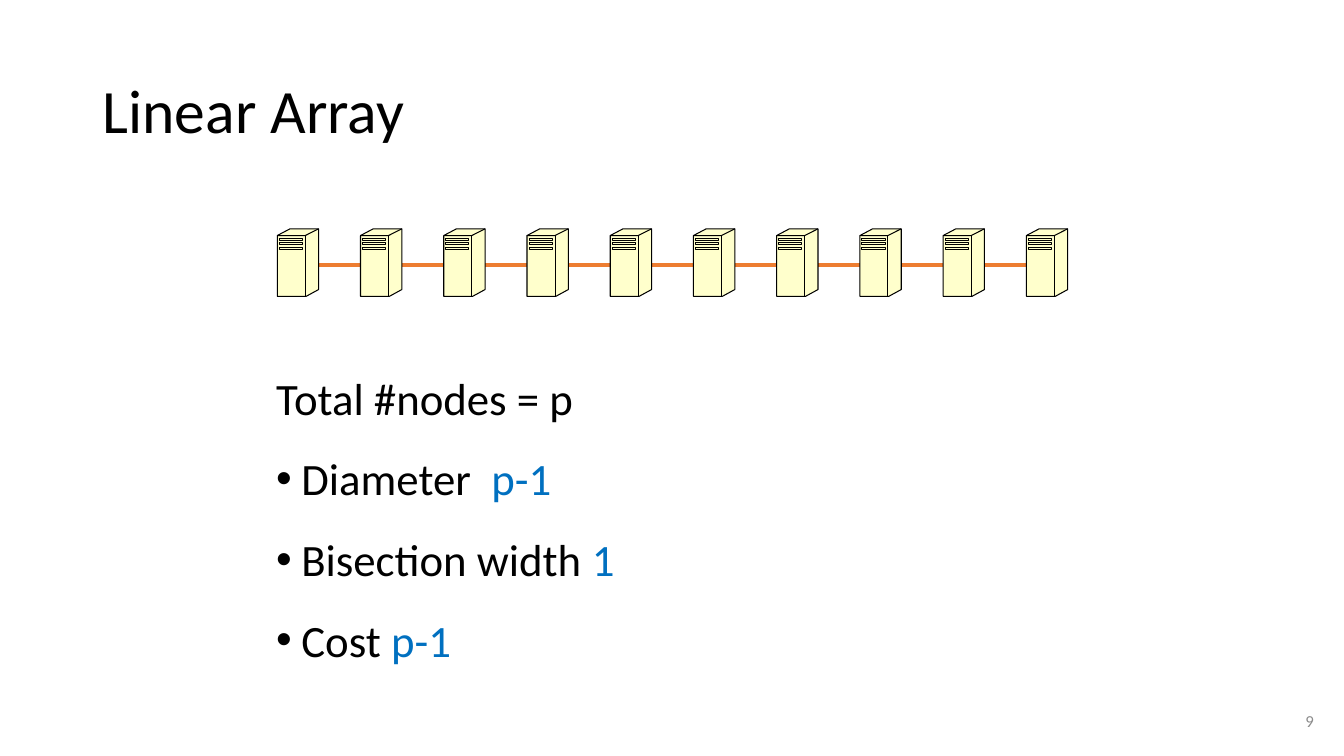
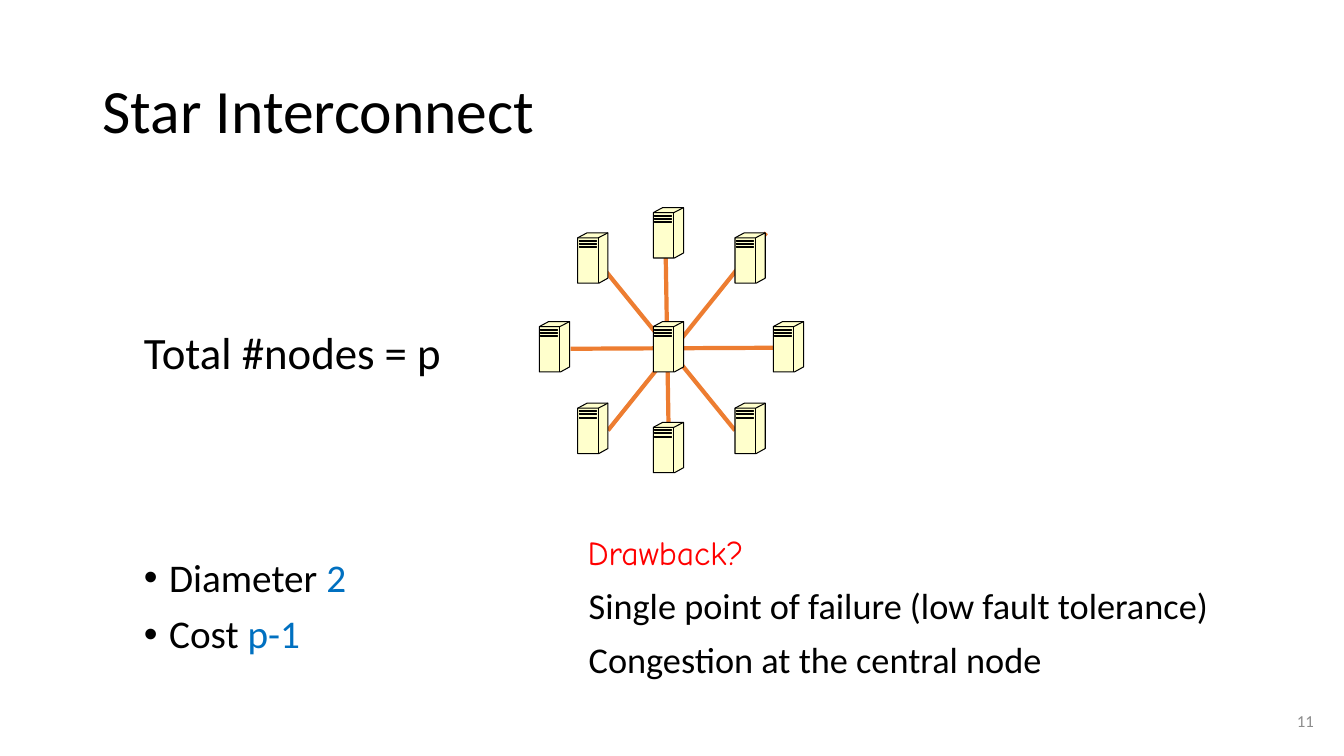
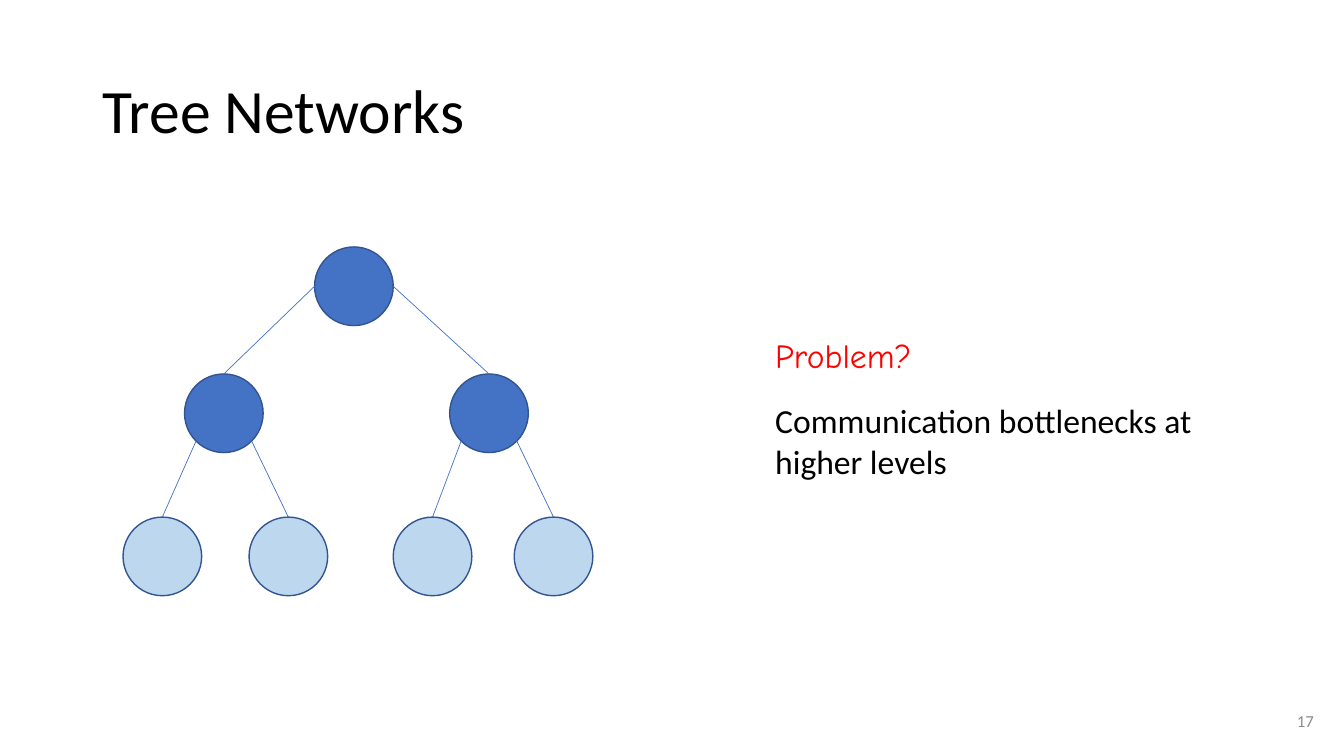
from math import cos, radians, sin

from lxml.etree import SubElement
from pptx import Presentation
from pptx.dml.color import RGBColor
from pptx.enum.shapes import MSO_CONNECTOR, MSO_SHAPE
from pptx.enum.text import MSO_ANCHOR, PP_ALIGN
from pptx.oxml.ns import qn
from pptx.util import Inches, Pt

BLACK = RGBColor(0x00, 0x00, 0x00)
GREY = RGBColor(0x8C, 0x8C, 0x8C)
RED = RGBColor(0xFF, 0x00, 0x00)
VALUE_BLUE = RGBColor(0x00, 0x70, 0xC0)
ORANGE = RGBColor(0xED, 0x7D, 0x31)
CREAM = RGBColor(0xFF, 0xFF, 0xCC)
NODE_BLUE = RGBColor(0x44, 0x72, 0xC4)
LEAF_BLUE = RGBColor(0xBD, 0xD7, 0xEE)
NODE_EDGE = RGBColor(0x32, 0x54, 0x91)
BODY_FONT = "Calibri"
QUESTION_FONT = "Comic Neue"

# Server icon, in fractions of its box
CASE = [(0, 0.1), (0.31, 0), (1, 0), (1, 0.9), (0.7, 1), (0, 1)]
EDGES = [[(0, 0.1), (0.68, 0.1), (1, 0)], [(0.68, 0.1), (0.68, 1)]]
SLOTS = [[(0.05, y), (0.61, y), (0.61, y + 0.02), (0.05, y + 0.02), (0.05, y)]
         for y in (0.15, 0.21, 0.28)]


def plain(text, color=BLACK):
    """A paragraph without a bullet."""
    return False, [(text, color)]


def fact(label, value):
    """A bulleted paragraph that ends in a blue value."""
    return True, [(label, BLACK), (value, VALUE_BLUE)]


def add_bullet(p):
    pPr = p._p.get_or_add_pPr()
    pPr.set("marL", str(Inches(0.25)))
    pPr.set("indent", str(-Inches(0.25)))
    SubElement(pPr, qn("a:buFont")).set("typeface", "Arial")
    SubElement(pPr, qn("a:buChar")).set("char", "•")


def add_text(s, box, paragraphs, size, font=BODY_FONT, spacing=1.0, before=0,
             anchor=MSO_ANCHOR.TOP, align=PP_ALIGN.LEFT):
    tf = s.shapes.add_textbox(*map(Inches, box)).text_frame
    tf.word_wrap = True
    tf.vertical_anchor = anchor
    for i, (bulleted, runs) in enumerate(paragraphs):
        p = tf.add_paragraph() if i else tf.paragraphs[0]
        p.alignment = align
        p.line_spacing = spacing
        p.space_before = Pt(before)
        if bulleted:
            add_bullet(p)
        for text, color in runs:
            r = p.add_run()
            r.text = text
            r.font.size = Pt(size)
            r.font.name = font
            r.font.color.rgb = color


def add_question(s, box, text):
    add_text(s, box, [plain(text, RED)], 24, QUESTION_FONT)


def new_slide(prs, title, number):
    s = prs.slides.add_slide(prs.slide_layouts[6])
    add_text(s, (0.92, 0.4, 11.5, 1.45), [plain(title)], 44, spacing=0.9,
             anchor=MSO_ANCHOR.MIDDLE)
    add_text(s, (9.42, 6.95, 3.71, 0.4), [plain(str(number), GREY)], 12,
             anchor=MSO_ANCHOR.MIDDLE, align=PP_ALIGN.RIGHT)
    return s


def add_line(s, x1, y1, x2, y2, color, width):
    line = s.shapes.add_connector(MSO_CONNECTOR.STRAIGHT,
                                  *map(Inches, (x1, y1, x2, y2)))
    line.line.color.rgb = color
    line.line.width = Pt(width)
    SubElement(line._element.spPr, qn("a:effectLst"))
    return line


def add_outline(shapes, box, strokes, close):
    """Draw strokes, given in fractions of the box, as one freeform."""
    x, y, w, h = box
    scaled = [[(Inches(x + w * u), Inches(y + h * v)) for u, v in stroke]
              for stroke in strokes]
    builder = shapes.build_freeform(*scaled[0][0])
    for i, stroke in enumerate(scaled):
        if i:
            builder.move_to(*stroke[0])
        builder.add_line_segments(stroke[1:], close=close)
    sp = builder.convert_to_shape()
    sp.shadow.inherit = False
    sp.line.color.rgb = BLACK
    sp.line.width = Pt(0.75)
    return sp


def add_server(s, box):
    group = s.shapes.add_group_shape()
    case = add_outline(group.shapes, box, [CASE], True)
    case.fill.solid()
    case.fill.fore_color.rgb = CREAM
    add_outline(group.shapes, box, EDGES + SLOTS, False).fill.background()


def add_array(s, box, count):
    x, y, w, h = box
    server_w = 0.41
    step = (w - server_w) / (count - 1)
    add_line(s, x, y + 0.36, x + w, y + 0.36, ORANGE, 3)
    for i in range(count):
        add_server(s, (x + i * step, y, server_w, h))


def add_star(s, x, y):
    """Draw a hub and eight servers from the top left corner given."""
    links = [(0.39, 0.3, 1.94, 2.21), (0.68, 2.21, 2.25, 0.25),
             (0.31, 1.4, 2.32, 1.39), (1.25, 0.32, 1.28, 2.13)]
    for x1, y1, x2, y2 in links:
        add_line(s, x + x1, y + y1, x + x2, y + y2, ORANGE, 3)
    columns = (0, 0.38, 1.13, 1.94, 2.32)
    rows = (0, 0.25, 1.13, 1.94, 2.13)
    cells = [(2, 4), (1, 3), (3, 3), (0, 2), (4, 2), (1, 1), (2, 0), (3, 1),
             (2, 2)]
    for column, row in cells:
        add_server(s, (x + columns[column], y + rows[row], 0.3, 0.5))


def add_tree(s, x, y):
    """Draw a binary tree from the top left corner given."""
    size = 0.78
    radius = size / 2
    # Top, lefts, fill and angle below the horizontal where links leave
    levels = [(0, (1.9,), NODE_BLUE, 0),
              (1.26, (0.61, 3.24), NODE_BLUE, 45),
              (2.68, (0, 1.25, 2.68, 3.88), LEAF_BLUE, 0)]
    nodes = []
    for top, lefts, fill, _ in levels:
        row = []
        for left in lefts:
            sp = s.shapes.add_shape(MSO_SHAPE.OVAL, *map(
                Inches, (x + left, y + top, size, size)))
            sp.shadow.inherit = False
            sp.fill.solid()
            sp.fill.fore_color.rgb = fill
            sp.line.color.rgb = NODE_EDGE
            sp.line.width = Pt(1)
            row.append(sp)
        nodes.append(row)
    for parents, children, row in zip(levels, levels[1:], nodes[1:]):
        top, lefts, _, angle = parents
        for i, child in enumerate(row):
            side = 1 if i % 2 else -1
            start_x = x + lefts[i // 2] + radius * (1 + side * cos(radians(angle)))
            start_y = y + top + radius * (1 + sin(radians(angle)))
            link = add_line(s, start_x, start_y, x + children[1][i] + radius,
                            y + children[0], NODE_BLUE, 0.5)
            link.end_connect(child, 0)


def linear_array_slide(prs):
    s = new_slide(prs, "Linear Array", 9)
    add_array(s, (2.75, 2.27, 7.84, 0.67), 10)
    add_text(s, (2.64, 3.36, 6.99, 3.25),
             [plain("Total #nodes = p"), fact("Diameter  ", "p-1"),
              fact("Bisection width ", "1"), fact("Cost ", "p-1")],
             32, spacing=1.5)


def star_slide(prs):
    s = new_slide(prs, "Star Interconnect", 11)
    add_star(s, 5.35, 2.06)
    add_text(s, (1.33, 2.91, 3.4, 0.91), [plain("Total #nodes = p")], 32,
             spacing=1.5)
    add_text(s, (1.33, 5.49, 3.37, 1.27),
             [fact("Diameter ", "2"), fact("Cost ", "p-1")], 28,
             spacing=0.9, before=10)
    add_question(s, (5.73, 5.23, 2.3, 0.5), "Drawback?")
    add_text(s, (5.74, 5.79, 6.68, 1.16),
             [plain("Single point of failure (low fault tolerance)"),
              plain("Congestion at the central node")], 25.9,
             spacing=0.9, before=10)


def tree_slide(prs):
    s = new_slide(prs, "Tree Networks", 17)
    add_question(s, (7.59, 3.27, 3.8, 0.5), "Problem?")
    add_text(s, (7.59, 3.92, 4.45, 0.91),
             [plain("Communication bottlenecks at higher levels")], 24)
    add_tree(s, 1.22, 2.45)


def main():
    prs = Presentation()
    prs.slide_width = Inches(13.33)
    prs.slide_height = Inches(7.5)
    linear_array_slide(prs)
    star_slide(prs)
    tree_slide(prs)
    prs.save("out.pptx")


if __name__ == "__main__":
    main()
